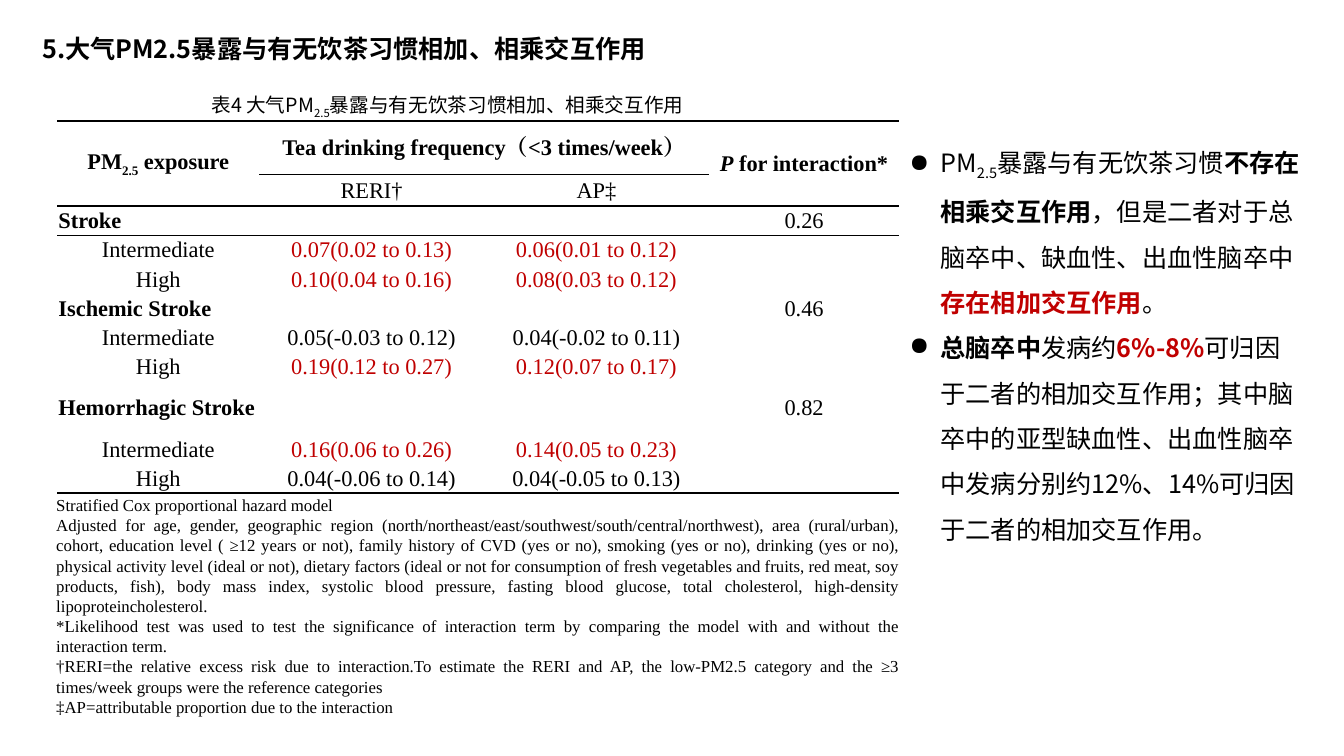
from dataclasses import dataclass
from lxml.etree import SubElement
from pptx import Presentation
from pptx.dml.color import RGBColor as RGB
from pptx.enum.text import MSO_ANCHOR as Anchor, MSO_AUTO_SIZE as Auto, PP_ALIGN as Align
from pptx.oxml.ns import qn
from pptx.util import Inches, Pt


@dataclass(frozen=True)
class Theme:
    black: str = "000000"
    red: str = "C00000"
    sans: str = "Noto Sans CJK SC"
    serif: str = "Times New Roman"
    head: int = 18
    cell: int = 16
    label: int = 14
    note: int = 12
    rule: int = 1


T = Theme()
PLAIN = "{2D5ABB26-0587-4C30-8999-92F81FD0307C}"

TITLE = "5.大气PM2.5暴露与有无饮茶习惯相加、相乘交互作用"
LABEL = [("表4 大气PM", ""), ("2.5", "s"), ("暴露与有无饮茶习惯相加、相乘交互作用", "")]
NOTES = [
    "Stratified Cox proportional hazard model",
    "Adjusted for age, gender, geographic region "
    "(north/northeast/east/southwest/south/central/northwest), area (rural/urban), cohort, "
    "education level ( ≥12 years or not), family history of CVD (yes or no), smoking (yes or no), "
    "drinking (yes or no), physical activity level (ideal or not), dietary factors (ideal or not "
    "for consumption of fresh vegetables and fruits, red meat, soy products, fish), body mass "
    "index, systolic blood pressure, fasting blood glucose, total cholesterol, high-density "
    "lipoproteincholesterol.",
    "*Likelihood test was used to test the significance of interaction term by comparing the "
    "model with and without the interaction term.",
    "†RERI=the relative excess risk due to interaction.To estimate the RERI and AP, the low-PM2.5 "
    "category and the ≥3 times/week groups were the reference categories",
    "‡AP=attributable proportion due to the interaction",
]
POINTS = [
    [("PM", ""), ("2.5", "s"), ("暴露与有无饮茶习惯", ""), ("不存在相乘交互作用", "b"),
     ("，但是二者对于总脑卒中、缺血性、出血性脑卒中", ""), ("存在相加交互作用", "br"), ("。", "")],
    [("总脑卒中", "b"), ("发病约", ""), ("6%-8%", "br"),
     ("可归因于二者的相加交互作用；其中脑卒中的亚型缺血性、出血性脑卒中发病分别约"
      "12%、14%可归因于二者的相加交互作用。", "")],
]
HEADS = [
    [[("PM", "b"), ("2.5", "bs"), (" exposure", "b")],
     [("Tea drinking frequency（<3 times/week）", "b")], "",
     [("P", "bi"), (" for interaction*", "b")]],
    ["", "RERI†", "AP‡", ""],
]
GROUPS = [
    ("Stroke", "0.26", ("0.07(0.02 to 0.13)", "0.06(0.01 to 0.12)"),
     ("0.10(0.04 to 0.16)", "0.08(0.03 to 0.12)")),
    ("Ischemic Stroke", "0.46", ("0.05(-0.03 to 0.12)", "0.04(-0.02 to 0.11)"),
     ("0.19(0.12 to 0.27)", "0.12(0.07 to 0.17)")),
    ("Hemorrhagic Stroke", "0.82", ("0.16(0.06 to 0.26)", "0.14(0.05 to 0.23)"),
     ("0.04(-0.06 to 0.14)", "0.04(-0.05 to 0.13)")),
]
WIDTHS = [2, 2.23, 2.23, 1.89]
TALL = (0, 8)
EDGES = {0: "TB", 1: "TB", 2: "T", 10: "B"}


def write(para, runs, face, size, align=Align.LEFT):
    para.alignment = align
    font = para.font
    font.name, font.size = face, Pt(size)
    font.color.rgb = RGB.from_string(T.black)
    base = para._p.get_or_add_pPr().get_or_add_defRPr()
    SubElement(base, qn("a:ea"), typeface=face)
    for text, style in [(runs, "")] if isinstance(runs, str) else runs:
        run = para.add_run()
        run.text = text
        if "b" in style:
            run.font.bold = True
        if "i" in style:
            run.font.italic = True
        if "r" in style:
            run.font.color.rgb = RGB.from_string(T.red)
        if "s" in style:
            run._r.get_or_add_rPr().set("baseline", "-25000")


def add_text(slide, spot, paras, face, size, align=Align.LEFT):
    frame = slide.shapes.add_textbox(*map(Inches, spot)).text_frame
    frame.word_wrap = True
    frame.auto_size = Auto.SHAPE_TO_FIT_TEXT
    for n, runs in enumerate(paras):
        para = frame.add_paragraph() if n else frame.paragraphs[0]
        write(para, runs, face, size, align)
    return frame


def add_list(slide, spot, paras):
    for para in add_text(slide, spot, paras, T.sans, T.head).paragraphs:
        para.line_spacing = 1.5
        props = para._p.get_or_add_pPr()
        props.set("marL", str(Inches(0.31)))
        props.set("indent", str(Inches(-0.31)))
        mark = SubElement(props, qn("a:buChar"), char="●")
        props.find(qn("a:defRPr")).addprevious(mark)


def rule(cell, sides):
    props = cell._tc.get_or_add_tcPr()
    for side in sides:
        line = SubElement(props, qn("a:ln" + side), w=str(Pt(T.rule)))
        SubElement(SubElement(line, qn("a:solidFill")), qn("a:srgbClr"), val=T.black)


def fill_cell(cell, runs, align, sides):
    rule(cell, sides)
    cell.fill.background()
    cell.vertical_anchor = Anchor.MIDDLE
    cell.margin_left = cell.margin_right = cell.margin_top = Inches(0.01)
    cell.margin_bottom = 0
    para = cell.text_frame.paragraphs[0]
    write(para, runs or [], T.serif, T.cell, align)
    if not runs:
        SubElement(para._p, qn("a:endParaRPr"), sz=str(T.cell * 100))


def rows():
    yield from HEADS
    for name, chance, *levels in GROUPS:
        yield [[(name, "b")], "", "", chance]
        for level, pair in zip(("Intermediate", "High"), levels):
            yield [level, *([(v, "" if "-" in v else "r")] for v in pair), ""]


def add_grid(slide, left, top):
    data = list(rows())
    tall = [0.53 if r in TALL else 0.29 for r in range(len(data))]
    spot = map(Inches, (left, top, sum(WIDTHS), sum(tall)))
    grid = slide.shapes.add_table(len(data), len(WIDTHS), *spot).table
    grid.first_row = grid.horz_banding = False
    grid._tbl.tblPr.find(qn("a:tableStyleId")).text = PLAIN
    for col, width in zip(grid.columns, WIDTHS):
        col.width = Inches(width)
    for row, height in zip(grid.rows, tall):
        row.height = Inches(height)
    for first, last in (((0, 0), (1, 0)), ((0, 1), (0, 2)), ((0, 3), (1, 3))):
        grid.cell(*first).merge(grid.cell(*last))
    for r, line in enumerate(data):
        for c, runs in enumerate(line):
            cell = grid.cell(r, c)
            group = c == 0 and r >= len(HEADS) and not isinstance(runs, str)
            sides = "" if cell.is_spanned else EDGES.get(r, "")
            fill_cell(cell, runs, Align.LEFT if group else Align.CENTER, sides)


def main():
    deck = Presentation()
    deck.slide_width, deck.slide_height = Inches(13.33), Inches(7.5)
    slide = deck.slides.add_slide(deck.slide_layouts[6])
    add_text(slide, (0.32, 0.28, 12.69, 0.4), [[(TITLE, "b")]], T.sans, T.head)
    add_text(slide, (0.46, 4.86, 8.57, 2.32), NOTES, T.serif, T.note, Align.JUSTIFY)
    add_text(slide, (1.11, 0.87, 6.66, 0.34), [LABEL], T.sans, T.label, Align.CENTER)
    add_grid(slide, 0.57, 1.2)
    add_list(slide, (8.92, 1.24, 4.08, 4.14), POINTS)
    deck.save("out.pptx")


if __name__ == "__main__":
    main()
